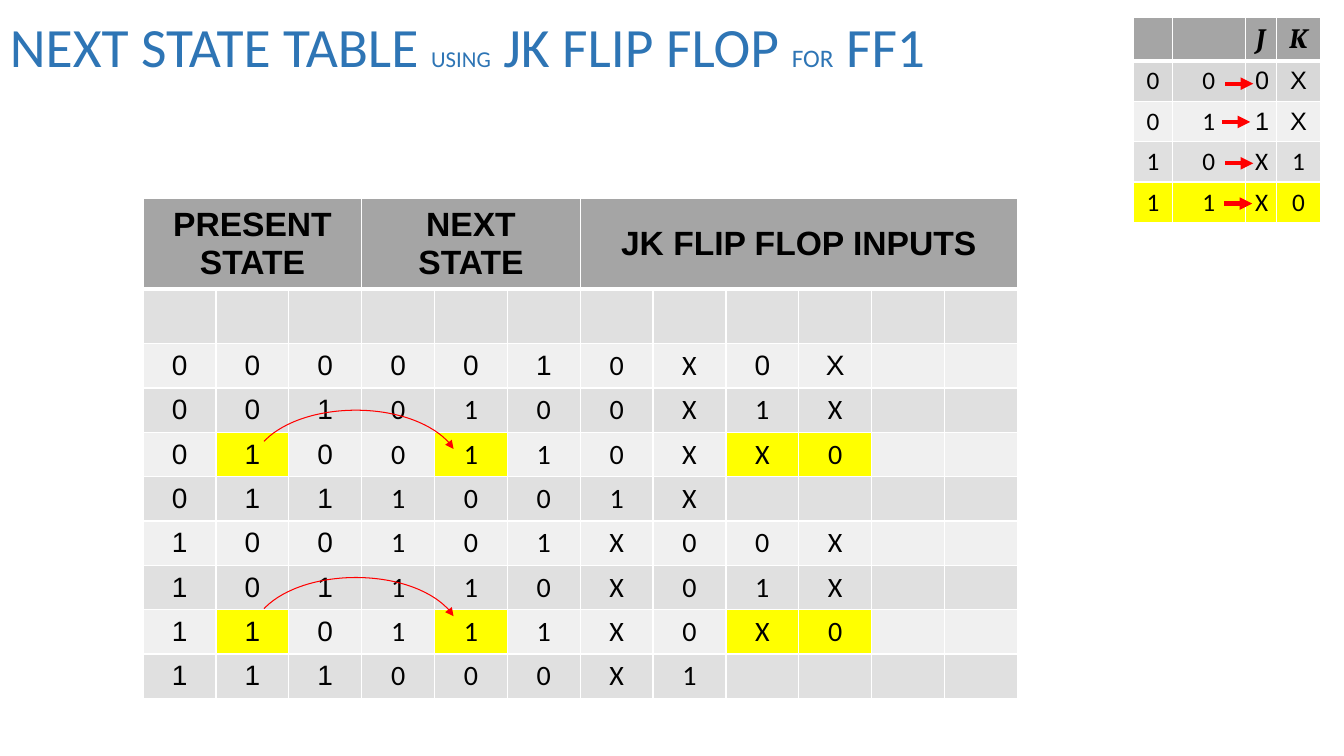
from lxml import etree
from pptx import Presentation, util as u
from pptx.dml.color import RGBColor
from pptx.enum import shapes, text
from pptx.oxml import ns

BLUE = RGBColor(0x2E, 0x75, 0xB5)
BLACK = RGBColor(0, 0, 0)
RED = RGBColor(0xFF, 0, 0)
YELLOW = RGBColor(0xFF, 0xFF, 0)
GREY = RGBColor(0xA5, 0xA5, 0xA5)
MID = RGBColor(0xD8, 0xD8, 0xD8)
DARK = RGBColor(0xE0, 0xE0, 0xE0)
LIGHT = RGBColor(0xF0, 0xF0, 0xF0)

deck = Presentation()
deck.slide_width, deck.slide_height = u.Inches(13.33), u.Inches(7.5)
slide = deck.slides.add_slide(deck.slide_layouts[6])


def style(cell, word, font, size, fill, head):
    """Write a centred word in a filled cell with white borders."""
    props = cell._tc.get_or_add_tcPr()
    for side in "LRTB":
        width = 3 if head and side == "B" else 1
        line = etree.SubElement(props, ns.qn(f"a:ln{side}"), w=str(u.Pt(width)))
        paint = etree.SubElement(line, ns.qn("a:solidFill"))
        etree.SubElement(paint, ns.qn("a:srgbClr"), val="FFFFFF")
    cell.fill.solid()
    cell.fill.fore_color.rgb = fill
    cell.vertical_anchor = text.MSO_ANCHOR.MIDDLE
    cell.text_frame.text = word
    para = cell.text_frame.paragraphs[0]
    para.alignment = text.PP_ALIGN.CENTER
    para.font.size = u.Pt(size)
    for run in para.runs:
        run.font.name, run.font.size = font, u.Pt(size)
        run.font.bold, run.font.color.rgb = head, BLACK
        run.font.italic = font == "Cambria"


def draw(shape, width):
    """Give a line or arc a red stroke with an arrowhead and no shadow."""
    shape.line.color.rgb = RED
    shape.line.width = u.Pt(width)
    etree.SubElement(shape.line._get_or_add_ln(), ns.qn("a:tailEnd"), type="triangle")
    etree.SubElement(shape._element.spPr, ns.qn("a:effectLst"))


# Title
title = slide.shapes.add_textbox(0, 0, u.Inches(9.99), u.Inches(0.99)).text_frame
title.word_wrap = True
title.vertical_anchor = text.MSO_ANCHOR.MIDDLE
para = title.paragraphs[0]
para.line_spacing = 0.9
for word, size in (("NEXT STATE TABLE ", 39.6), ("USING", 16.2),
                   (" JK FLIP FLOP ", 39.6), ("FOR", 18), (" FF1", 39.6)):
    run = para.add_run()
    run.text = word
    run.font.name, run.font.size, run.font.color.rgb = "Calibri", u.Pt(size), BLUE

# State table: three present bits, three next bits, three J K pairs
heads = {0: "PRESENT STATE", 3: "NEXT STATE", 6: "JK FLIP FLOP INPUTS"}
states = ["0000010X0X", "0010100X1X", "0100110XX0", "0111001X",
          "100101X00X", "101110X01X", "110111X0X0", "111000X1"]
cols, rows = 12, len(states) + 2
heights = [0.9, 0.54] + [0.44] * len(states)
grid = slide.shapes.add_table(rows, cols, u.Inches(1.42), u.Inches(1.97),
                              u.Inches(8.67), u.Inches(sum(heights))).table
for row, high in enumerate(heights):
    grid.rows[row].height = u.Inches(high)
    bits = "" if row < 2 else states[row - 2]
    for col in range(cols):
        grid.columns[col].width = u.Inches(8.67 / cols)
        cell = grid.cell(row, col)
        if row == 0:
            style(cell, heads.get(col, ""), "Arial", 24, GREY, True)
            continue
        arial = col < 3 or (row == 2 and col not in (6, 7))
        hold = row in (4, 8) and col in (1, 4, 8, 9)
        fill = YELLOW if hold else DARK if row % 2 else LIGHT
        style(cell, bits[col:col + 1], "Arial" if arial else "Calibri", 20, fill, False)
for first, last in ((0, 2), (3, 5), (6, 11)):
    grid.cell(0, first).merge(grid.cell(0, last))

# Excitation table
rules = ["  JK", "000X", "011X", "10X1", "11X0"]
fills = [GREY, MID, LIGHT, DARK, YELLOW]
widths = [0.39, 0.72, 0.31, 0.44]
key = slide.shapes.add_table(len(rules), len(widths), u.Inches(11.24), u.Inches(0.17),
                             u.Inches(sum(widths)), u.Inches(2.03)).table
for row, rule in enumerate(rules):
    key.rows[row].height = u.Inches(0.4 if row else 0.43)
    for col, mark in enumerate(rule):
        key.columns[col].width = u.Inches(widths[col])
        font = "Arial" if row in (1, 2) and col > 1 else "Calibri" if row else "Cambria"
        style(key.cell(row, col), mark.strip(), font, 18 if row else 20,
              fills[row], row == 0)

# Arrows from each transition to its inputs
for left, top in ((12.15, 0.83), (12.12, 1.21), (12.15, 1.62), (12.14, 2.02)):
    arrow = slide.shapes.add_connector(shapes.MSO_CONNECTOR.STRAIGHT, u.Inches(left),
                                       u.Inches(top), u.Inches(left + 0.28), u.Inches(top))
    draw(arrow, 3)

# Arcs from present to next bit
for top in (4.07, 5.73):
    arc = slide.shapes.add_shape(shapes.MSO_SHAPE.ARC, u.Inches(2.5), u.Inches(top),
                                 u.Inches(2.06), u.Inches(1.16))
    arc.adjustments[0], arc.adjustments[1] = 117.94, 209.15
    arc.fill.background()
    draw(arc, 0.75)

deck.save("out.pptx")
